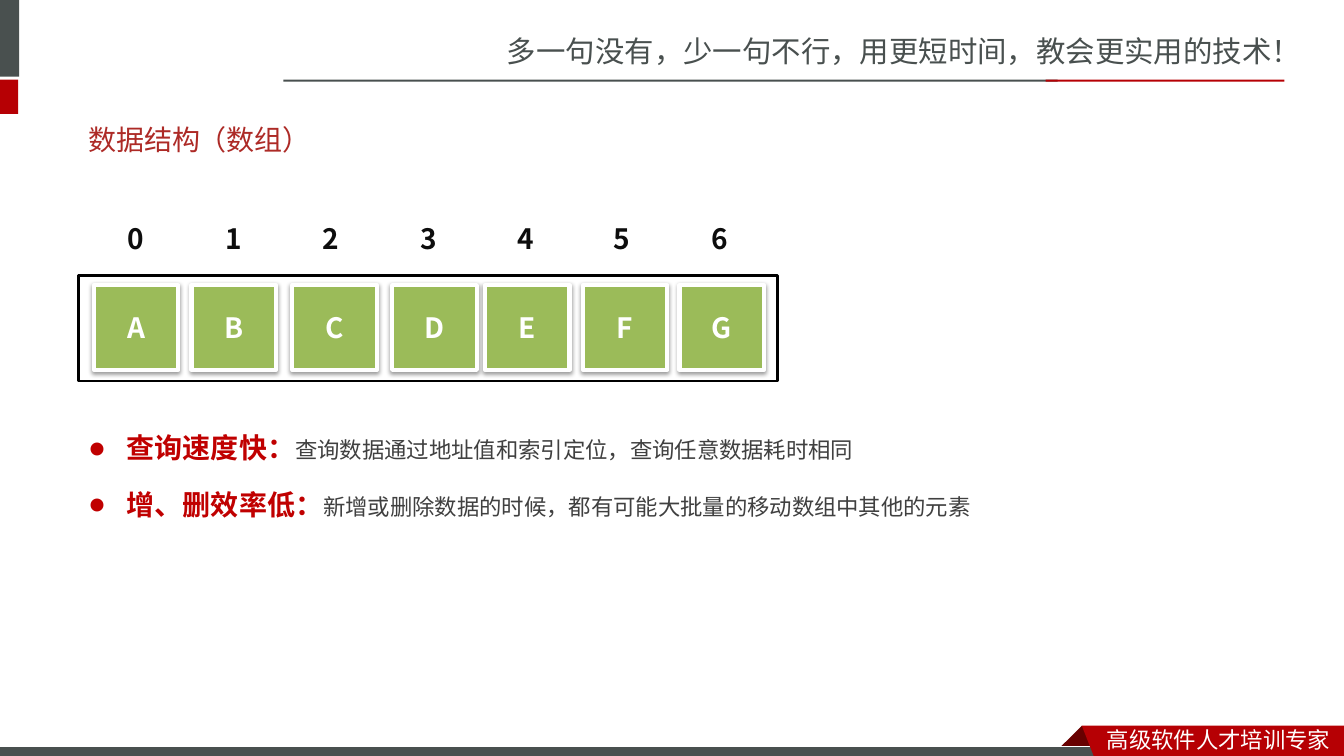
from dataclasses import dataclass

from lxml import etree
from pptx import Presentation
from pptx.dml.color import RGBColor
from pptx.enum.shapes import MSO_SHAPE
from pptx.enum.text import MSO_ANCHOR, MSO_AUTO_SIZE, PP_ALIGN
from pptx.oxml.ns import qn
from pptx.util import Inches, Pt

RECTANGLE = MSO_SHAPE.RECTANGLE
MIDDLE, TOP = MSO_ANCHOR.MIDDLE, MSO_ANCHOR.TOP
LEFT, CENTER = PP_ALIGN.LEFT, PP_ALIGN.CENTER
FIXED, GROW = MSO_AUTO_SIZE.NONE, MSO_AUTO_SIZE.SHAPE_TO_FIT_TEXT

COLORS = {
    "slate": "49504F", "red": "B60004", "maroon": "680000", "white": "FFFFFF",
    "heading": "AD2A26", "term": "C00000", "body": "404040", "black": "000000",
    "cell": "9BBB59", "index": "0D0D0D",
}
CJK_SC, CJK_JP, CALIBRI = "Noto Sans CJK SC", "Noto Sans CJK JP", "Calibri"


@dataclass(frozen=True)
class Box:
    left: float
    top: float
    width: float
    height: float

    def lengths(self) -> list:
        return [Inches(v) for v in (self.left, self.top, self.width, self.height)]


@dataclass(frozen=True)
class Style:
    size: int
    font: str
    color: str
    bold: bool = False


@dataclass(frozen=True)
class Bar:
    box: Box
    fill: str | None
    line: str | None = None
    line_width: float = 0


@dataclass(frozen=True)
class Ribbon:
    points: tuple
    fill: str


@dataclass(frozen=True)
class Point:
    top: float
    width: float
    term: str
    detail: str


TAGLINE = Style(21, CJK_SC, "slate")
BADGE = Style(16, CJK_SC, "white")
HEADING = Style(20, CALIBRI, "heading")
TERM = Style(20, CJK_JP, "term", True)
DETAIL = Style(16, CJK_JP, "body")
LETTER = Style(20, CJK_JP, "white", True)
INDEX = Style(20, CJK_JP, "index", True)

HEADER_BARS = (
    Bar(Box(-0.06, 0, 0.25, 0.76), "slate"),
    Bar(Box(-0.06, 0.79, 0.24, 0.34), "red"),
    Bar(Box(2.81, 0.79, 7.68, 0.02), "slate"),
    Bar(Box(10.37, 0.79, 2.37, 0.02), "red"),
)
FOOTER_BAR = Bar(Box(-0.01, 7.41, 11, 0.12), "slate", "white", 0.75)
RIBBON_FOLD = Ribbon(((10.73, 7.2), (10.95, 7.42), (10.94, 7.43),
                      (10.52, 7.43), (10.51, 7.42)), "maroon")
RIBBON_FRONT = Ribbon(((10.73, 7.2), (13.33, 7.2), (13.33, 7.54),
                       (10.86, 7.53)), "red")
ARRAY_FRAME = Bar(Box(0.78, 2.73, 6.93, 1.05), None, "black", 2)
CELL_SIZE = 0.84
CELL_LEFTS = (0.93, 1.9, 2.9, 3.89, 4.81, 5.78, 6.74)
INDEX_LEFT, INDEX_PITCH = 0.93, 0.965
POINTS = (
    Point(4.06, 11.21, "查询速度快：", "查询数据通过地址值和索引定位，查询任意数据耗时相同"),
    Point(4.62, 11.44, "增、删效率低：", "新增或删除数据的时候，都有可能大批量的移动数组中其他的元素"),
)


def rgb(name: str) -> RGBColor:
    return RGBColor.from_string(COLORS[name])


def format_run(run, style: Style) -> None:
    run.font.size = Pt(style.size)
    run.font.name = style.font
    run.font.bold = style.bold
    run.font.color.rgb = rgb(style.color)
    east_asian = CJK_SC if style.font == CALIBRI else style.font
    latin = run.font._element.find(qn("a:latin"))
    latin.addnext(etree.Element(qn("a:ea"), typeface=east_asian))


def write(shape, text: str, style: Style, align=LEFT, anchor=MIDDLE, fit=FIXED) -> None:
    frame = shape.text_frame
    frame.text = text
    frame.word_wrap = True
    frame.auto_size = fit
    frame.vertical_anchor = anchor
    paragraph = frame.paragraphs[0]
    paragraph.alignment = align
    format_run(paragraph.runs[0], style)


def add_text(slide, box: Box, text: str, style: Style, **layout):
    textbox = slide.shapes.add_textbox(*box.lengths())
    write(textbox, text, style, **layout)
    return textbox


def add_bar(slide, bar: Bar):
    shape = slide.shapes.add_shape(RECTANGLE, *bar.box.lengths())
    shape.shadow.inherit = False
    if bar.fill:
        shape.fill.solid()
        shape.fill.fore_color.rgb = rgb(bar.fill)
    else:
        shape.fill.background()
    if bar.line:
        shape.line.color.rgb = rgb(bar.line)
        shape.line.width = Pt(bar.line_width)
    else:
        shape.line.fill.background()
    return shape


def add_ribbon(slide, ribbon: Ribbon) -> None:
    start, *rest = [(Inches(x), Inches(y)) for x, y in ribbon.points]
    builder = slide.shapes.build_freeform(*start)
    builder.add_line_segments(rest, close=True)
    shape = builder.convert_to_shape()
    shape.shadow.inherit = False
    shape.fill.solid()
    shape.fill.fore_color.rgb = rgb(ribbon.fill)
    shape.line.fill.background()


def add_cell(slide, left: float, letter: str) -> None:
    cell = add_bar(slide, Bar(Box(left, 2.83, CELL_SIZE, CELL_SIZE), "cell", "white", 3))
    effects = cell._element.spPr.find(qn("a:effectLst"))
    shadow = etree.SubElement(effects, qn("a:outerShdw"), blurRad=str(Pt(3.1)),
                              dist=str(Pt(1.6)), dir="5400000", rotWithShape="0")
    tint = etree.SubElement(shadow, qn("a:srgbClr"), val=COLORS["black"])
    etree.SubElement(tint, qn("a:alpha"), val="38000")
    write(cell, letter, LETTER, align=CENTER)


def add_point(slide, point: Point) -> None:
    textbox = add_text(slide, Box(0.78, point.top, point.width, 0.56),
                       point.term, TERM, anchor=TOP, fit=GROW)
    paragraph = textbox.text_frame.paragraphs[0]
    properties = paragraph._p.get_or_add_pPr()
    properties.set("marL", str(Inches(0.38)))
    properties.set("indent", str(Inches(-0.38)))
    etree.SubElement(properties, qn("a:buFont"), typeface=CALIBRI)
    etree.SubElement(properties, qn("a:buChar"), char="●")
    paragraph.line_spacing = 1.5
    detail = paragraph.add_run()
    detail.text = point.detail
    format_run(detail, DETAIL)


def main() -> None:
    presentation = Presentation()
    presentation.slide_width, presentation.slide_height = Inches(13.33), Inches(7.5)
    slide = presentation.slides.add_slide(presentation.slide_layouts[5])

    heading = slide.shapes.title
    heading.left, heading.top, heading.width, heading.height = Box(0.78, 1.1, 2.12, 0.57).lengths()
    write(heading, "数据结构", HEADING)

    add_text(slide, Box(4.93, 0.28, 8.41, 0.47),
             "多一句没有，少一句不行，用更短时间，教会更实用的技术！", TAGLINE, anchor=TOP, fit=GROW)
    for bar in HEADER_BARS:
        add_bar(slide, bar)
    add_ribbon(slide, RIBBON_FOLD)
    add_bar(slide, FOOTER_BAR)
    add_ribbon(slide, RIBBON_FRONT)
    add_text(slide, Box(10.88, 7.15, 2.45, 0.37), "高级软件人才培训专家", BADGE,
             anchor=TOP, fit=GROW)

    add_text(slide, Box(1.87, 1.1, 1.4, 0.57), "（数组）", HEADING)
    add_bar(slide, ARRAY_FRAME)
    for position, (left, letter) in enumerate(zip(CELL_LEFTS, "ABCDEFG")):
        add_cell(slide, left, letter)
        index_left = round(INDEX_LEFT + position * INDEX_PITCH, 2)
        add_text(slide, Box(index_left, 1.94, CELL_SIZE, CELL_SIZE), str(position), INDEX,
                 align=CENTER)
    for point in POINTS:
        add_point(slide, point)

    presentation.save("out.pptx")


if __name__ == "__main__":
    main()
